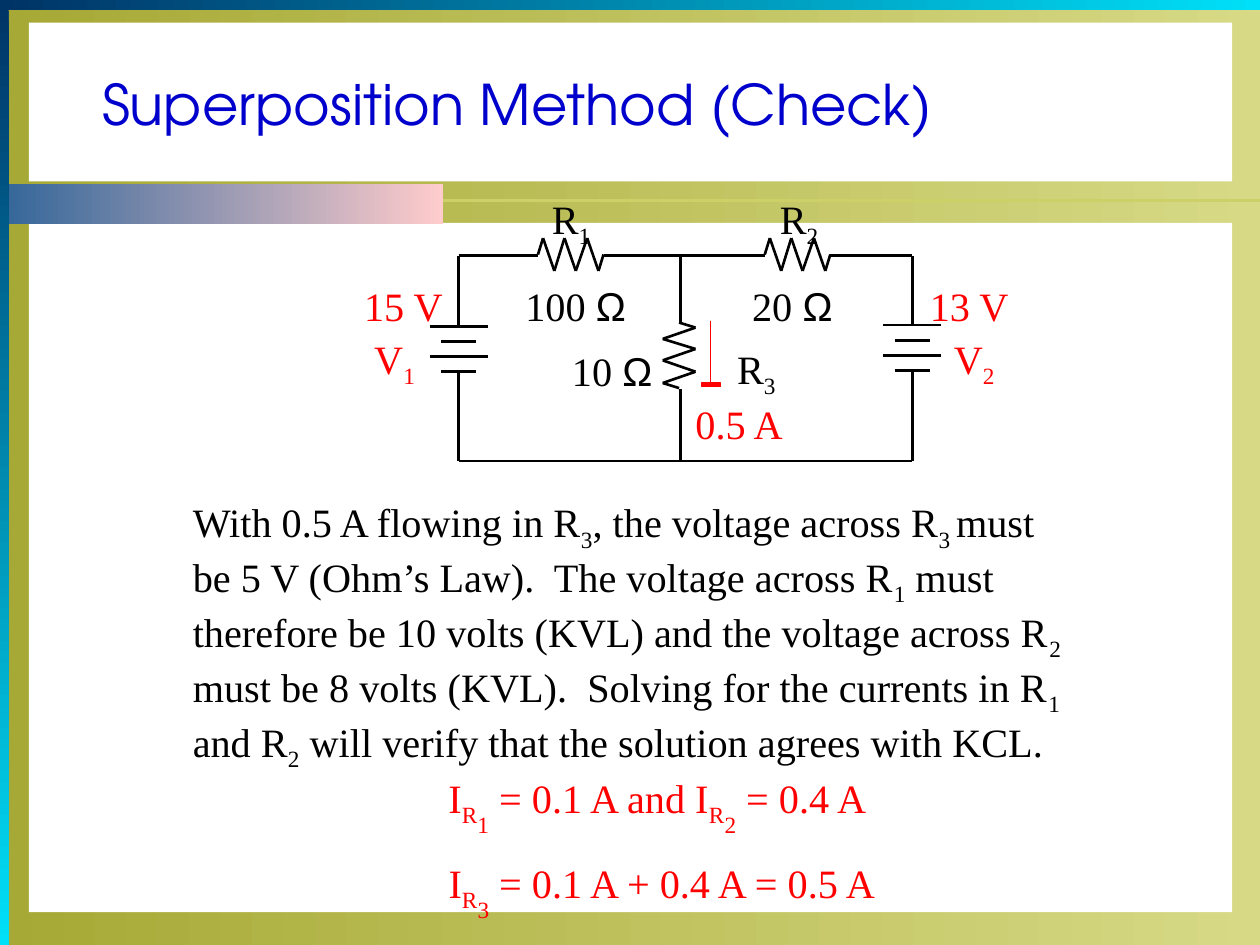
"""Build the superposition check slide with its two-source circuit."""
from itertools import pairwise

from lxml.etree import SubElement
from pptx import Presentation
from pptx.dml.color import RGBColor
from pptx.enum.shapes import MSO_CONNECTOR, MSO_SHAPE
from pptx.enum.text import MSO_ANCHOR, MSO_AUTO_SIZE, PP_ALIGN
from pptx.oxml.ns import qn
from pptx.util import Inches, Pt

BLACK = RGBColor(0x00, 0x00, 0x00)
WHITE = RGBColor(0xFF, 0xFF, 0xFF)
RED = RGBColor(0xFF, 0x00, 0x00)
BLUE = RGBColor(0x00, 0x00, 0xCC)
NAVY = RGBColor(0x00, 0x33, 0x66)
CYAN = RGBColor(0x00, 0xE0, 0xF8)
OLIVE = RGBColor(0xA6, 0xA9, 0x35)
LIME = RGBColor(0xD7, 0xD9, 0x85)
RULE = RGBColor(0xCD, 0xD0, 0x66)
STEEL = RGBColor(0x33, 0x66, 0x99)
PINK = RGBColor(0xFF, 0xCC, 0xCC)

TITLE = "Superposition Method (Check)"
PANELS = [
    ((0, 0, 10, 7.5), (OLIVE, LIME), 0),
    ((0.23, 1.77, 9.55, 5.47), (WHITE,), 0),
    ((0, 0, 10, 0.08), (NAVY, CYAN), 0),
    ((0.01, 1.46, 3.51, 0.32), (STEEL, PINK), 0),
    ((0, 0, 0.07, 7.5), (NAVY, CYAN), 270),
    ((0.23, 0.18, 9.55, 1.26), (WHITE,), 0),
]

LEFT, MID, RIGHT = 3.64, 5.4, 7.24
TOP, BOTTOM = 2.03, 3.66
WIRES = [
    ((LEFT, TOP), (4.27, TOP)), ((4.79, TOP), (6.07, TOP)), ((6.59, TOP), (RIGHT, TOP)),
    ((LEFT, TOP), (LEFT, 2.59)), ((LEFT, 2.94), (LEFT, BOTTOM)),
    ((MID, TOP), (MID, 2.57)), ((MID, 3.09), (MID, BOTTOM)),
    ((RIGHT, TOP), (RIGHT, 2.59)), ((RIGHT, 2.93), (RIGHT, BOTTOM)),
    ((LEFT, BOTTOM), (RIGHT, BOTTOM)),
]
BATTERIES = [(LEFT, 2.59), (RIGHT, 2.58)]
PLATE_HALF_WIDTHS = [0.23, 0.14, 0.23, 0.14]
PLATE_GAP = 0.12
ZIGZAG = [(0, 0), (0.04, -0.13), (0.13, 0.13), (0.21, -0.13),
          (0.3, 0.13), (0.39, -0.13), (0.48, 0.13), (0.52, 0)]
ARROW = [(5.64, 3.07), (5.64, 2.55), (5.64, 3.07), (5.57, 3.07),
         (5.57, 3.04), (5.72, 3.04), (5.72, 3.07)]

# Segments are split by "|"; each leading "_" lowers a segment one step.
LABELS = [
    ((4.27, 1.48, 0.53, 0.55), BLACK, ["R|_1"]),
    ((6.08, 1.48, 0.53, 0.55), BLACK, ["R|_2"]),
    ((5.74, 2.67, 0.53, 0.55), BLACK, ["R|_3"]),
    ((2.86, 2.59, 0.55, 0.55), RED, ["V|_1"]),
    ((7.46, 2.59, 0.55, 0.55), RED, ["V|_2"]),
    ((4.06, 2.17, 1.03, 0.49), BLACK, ["100 |Ω"]),
    ((5.86, 2.17, 0.87, 0.49), BLACK, ["20 |Ω"]),
    ((4.43, 2.69, 0.87, 0.49), BLACK, ["10 |Ω"]),
    ((2.78, 2.17, 0.85, 0.49), RED, ["15 V"]),
    ((7.27, 2.17, 0.85, 0.49), RED, ["13 V"]),
    ((5.41, 3.11, 0.92, 0.49), RED, ["0.5 A"]),
    ((1.42, 3.89, 7.11, 2.29), BLACK, [
        "With 0.5 A flowing in R|_3|, the voltage across R|_3 |must",
        "be 5 V (Ohm’s Law).  The voltage across R|_1| must",
        "therefore be 10 volts (KVL) and the voltage across R|_2",
        "must be 8 volts (KVL).  Solving for the currents in R|_1",
        "and R|_2| will verify that the solution agrees with KCL.",
    ]),
    ((3.45, 6.08, 3.54, 0.63), RED, ["I|_R|__1| = 0.1 A and I|_R|__2| = 0.4 A"]),
    ((3.45, 6.75, 3.61, 0.63), RED, ["I|_R|__3| = 0.1 A + 0.4 A = 0.5 A"]),
]


def add_panel(shapes, box, colors, angle):
    sp = shapes.add_shape(MSO_SHAPE.RECTANGLE, *map(Inches, box))
    sp.shadow.inherit = False
    sp.line.fill.background()
    if len(colors) == 1:
        sp.fill.solid()
        sp.fill.fore_color.rgb = colors[0]
        return
    sp.fill.gradient()
    sp.fill.gradient_angle = angle
    for stop, color in zip(sp.fill.gradient_stops, colors):
        stop.color.rgb = color


def add_line(shapes, start, end, color=BLACK):
    ln = shapes.add_connector(MSO_CONNECTOR.STRAIGHT, *map(Inches, (*start, *end)))
    ln.line.color.rgb = color
    ln.line.width = Pt(1.5)
    SubElement(ln._element.spPr, qn("a:effectLst"))


def add_resistor(shapes, x, y, vertical=False):
    points = [(x - b, y + a) if vertical else (x + a, y + b) for a, b in ZIGZAG]
    for start, end in pairwise(points):
        add_line(shapes, start, end)


def add_battery(shapes, x, y):
    for i, half in enumerate(PLATE_HALF_WIDTHS):
        level = y + i * PLATE_GAP
        add_line(shapes, (x - half, level), (x + half, level))


def add_arrow(shapes):
    points = [(Inches(x), Inches(y)) for x, y in ARROW]
    builder = shapes.build_freeform(*points[0])
    builder.add_line_segments(points[1:], close=True)
    sp = builder.convert_to_shape()
    sp.shadow.inherit = False
    sp.fill.solid()
    sp.fill.fore_color.rgb = RED
    sp.line.color.rgb = RED
    sp.line.width = Pt(0.75)


def add_label(shapes, box, color, lines):
    tf = shapes.add_textbox(*map(Inches, box)).text_frame
    tf.word_wrap = False
    tf.margin_left = tf.margin_right = Inches(0.11)
    tf.margin_top = tf.margin_bottom = Inches(0.06)
    for i, line in enumerate(lines):
        p = tf.add_paragraph() if i else tf.paragraphs[0]
        for segment in line.split("|"):
            r = p.add_run()
            r.text = segment.lstrip("_")
            r.font.size = Pt(23)
            r.font.name = "Arial" if segment == "Ω" else "Times New Roman"
            r.font.color.rgb = color
            if depth := segment.count("_"):
                r.font._element.set("baseline", str(-25000 * depth))


def format_title(slide):
    sp = slide.shapes.title
    sp.left, sp.top, sp.width, sp.height = map(Inches, (0.71, 0.5, 8.93, 0.64))
    tf = sp.text_frame
    tf.text = TITLE
    tf.auto_size = MSO_AUTO_SIZE.NONE
    tf.vertical_anchor = MSO_ANCHOR.MIDDLE
    p = tf.paragraphs[0]
    p.alignment = PP_ALIGN.LEFT
    font = p.runs[0].font
    font.name, font.size = "TeX Gyre Adventor", Pt(32)
    font.color.rgb = BLUE
    slide.shapes._spTree.append(sp._element)


def main():
    prs = Presentation()
    prs.slide_width, prs.slide_height = Inches(10), Inches(7.5)
    s = prs.slides.add_slide(prs.slide_layouts[5])
    shapes = s.shapes
    for i, panel in enumerate(PANELS):
        add_panel(shapes, *panel)
        if i == 2:
            add_line(shapes, (0, 1.59), (10, 1.59), RULE)
    for start, end in WIRES:
        add_line(shapes, start, end)
    for x, y in BATTERIES:
        add_battery(shapes, x, y)
    add_resistor(shapes, 4.27, 2.02)
    add_resistor(shapes, 6.07, 2.02)
    add_resistor(shapes, 5.39, 2.56, vertical=True)
    add_arrow(shapes)
    for label in LABELS:
        add_label(shapes, *label)
    format_title(s)
    prs.save("out.pptx")


if __name__ == "__main__":
    main()
